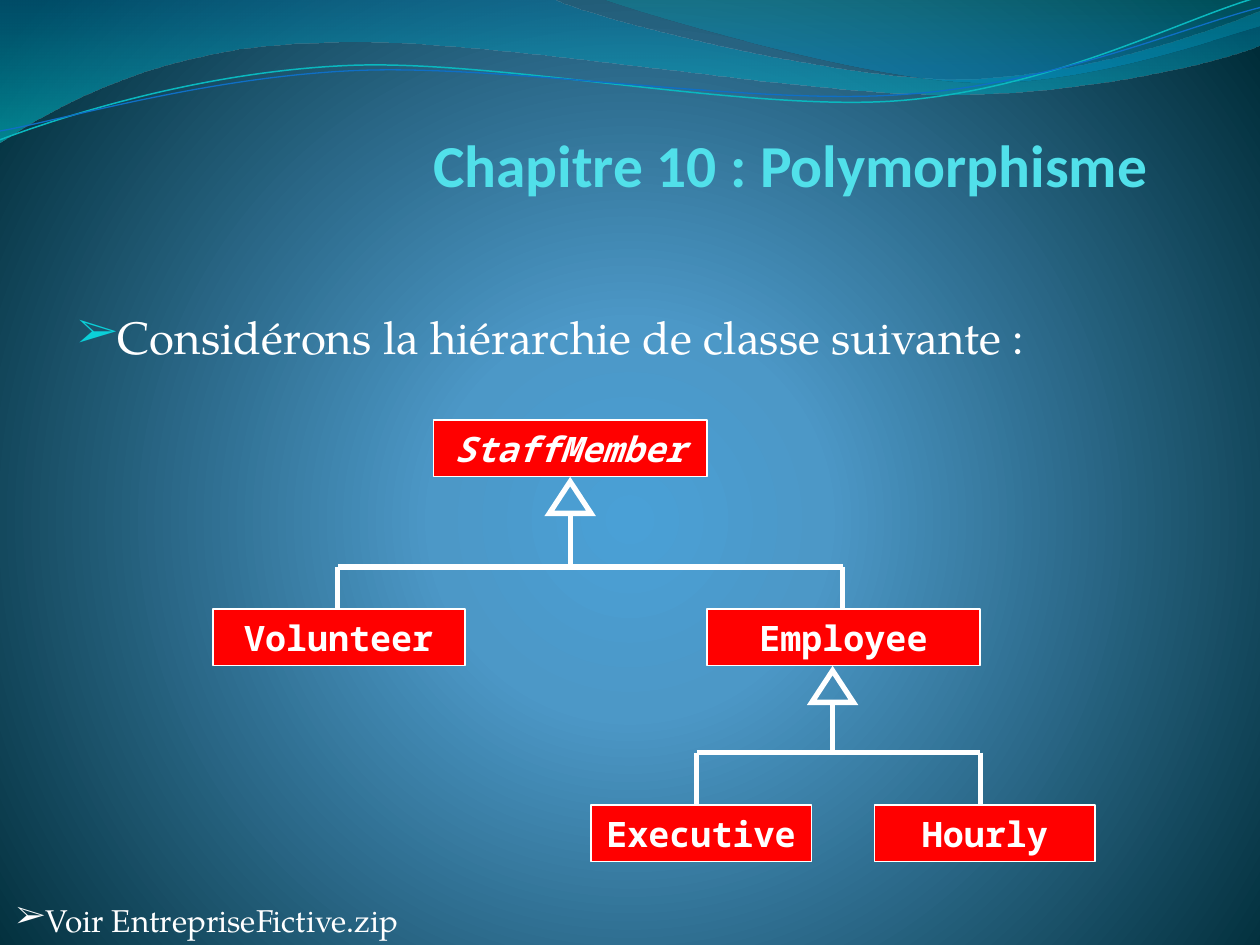
from lxml.etree import SubElement
from pptx import Presentation
from pptx.dml.color import RGBColor
from pptx.enum.shapes import MSO_CONNECTOR, MSO_SHAPE
from pptx.enum.text import MSO_ANCHOR, PP_ALIGN
from pptx.oxml import parse_xml
from pptx.oxml.ns import nsdecls, qn
from pptx.util import Cm, Pt

WHITE = RGBColor(0xFF, 0xFF, 0xFF)
RED = RGBColor(0xFF, 0x00, 0x00)
TITLE_CYAN = RGBColor(0x51, 0xE0, 0xEA)
BULLET_CYAN = RGBColor(0x0B, 0xD0, 0xD9)
WAVE_TEAL = RGBColor(0x0A, 0xB8, 0xBF)
WAVE_BLUE = RGBColor(0x0F, 0x6F, 0xC6)
BACKGROUND_STOPS = [(0, RGBColor(0x4A, 0xA0, 0xD6), 100),
                    (25, RGBColor(0x4C, 0x98, 0xC7), 100),
                    (100, RGBColor(0x00, 0x2C, 0x38), 100)]
WIDE_WAVE_STOPS = [(0, RGBColor(0x00, 0x74, 0xA1), 45),
                   (100, RGBColor(0x00, 0xC6, 0xCF), 55)]
RIGHT_WAVE_STOPS = [(0, RGBColor(0x00, 0xA1, 0xA9), 30),
                    (80, RGBColor(0x00, 0x8B, 0xBF), 45)]
LINEAR_DOWN = '<a:lin ang="5400000" scaled="1"/>'
RADIAL = ('<a:path path="circle"><a:fillToRect l="10000" t="110000" '
          'r="10000" b="100000"/></a:path>')
BODY_FONT, CODE_FONT, TITLE_FONT = "TeX Gyre Pagella", "Noto Sans Mono", "Calibri"
WAVE_UNIT = Cm(2.54)
BOX_HEIGHT = 1.14

# Each wave is a start point followed by cubic curves (6 numbers) and lines (2).
WIDE_WAVE = [(0, 0), (4.4, 0),
             (4.76, 0.17, 6.64, 0.63, 7.58, 0.63), (8.53, 0.63, 9.58, 0.26, 10, 0.09),
             (10, 0.36),
             (9.83, 0.44, 8.7, 0.76, 7.46, 0.75), (6.22, 0.75, 3.82, 0.28, 2.57, 0.34),
             (1.29, 0.36, 0.46, 0.83, 0, 1.13)]
RIGHT_WAVE = [(4.79, 0), (5.09, 0.11, 6.82, 0.62, 7.69, 0.65),
              (8.56, 0.69, 9.61, 0.32, 10, 0.21), (10, 0)]
TEAL_LINE = [(0, 1.11), (0.48, 0.93, 1.58, 0.57, 2.77, 0.52),
             (3.95, 0.47, 5.93, 0.89, 7.13, 0.8), (8.33, 0.71, 9.38, 0.15, 9.98, -0.02)]
BLUE_LINE = [(0, 1.04), (0.47, 0.96, 1.64, 0.61, 2.83, 0.56),
             (4.03, 0.51, 5.97, 0.84, 7.17, 0.75), (8.36, 0.67, 9.41, 0.21, 10, 0.06)]

# Class name: left, top and width in cm within the diagram.
CLASSES = {"StaffMember": (4.45, 0, 5.51), "Executive": (7.62, 7.76, 4.45),
           "Hourly": (13.34, 7.76, 4.45), "Volunteer": (0, 3.81, 5.08),
           "Employee": (9.96, 3.81, 5.51)}


def set_gradient(fill, element, stops, direction):
    """Give a fill the gradient stops (position, colour, opacity) and direction."""
    fill.gradient()
    stop_xml = "".join(
        f'<a:gs pos="{position * 1000}"><a:srgbClr val="{color}">'
        f'<a:alpha val="{opacity * 1000}"/></a:srgbClr></a:gs>'
        for position, color, opacity in stops)
    gradient = parse_xml(f'<a:gradFill {nsdecls("a")} rotWithShape="1">'
                         f'<a:gsLst>{stop_xml}</a:gsLst>{direction}</a:gradFill>')
    current = element.xpath(".//a:gradFill")[0]
    current.getparent().replace(current, gradient)


def add_wave(slide, left, top, segments, closed):
    """Draw one wave outline of lines and cubic curves from the given corner."""
    ends = [(left + segment[-2] * WAVE_UNIT, top + segment[-1] * WAVE_UNIT)
            for segment in segments]
    builder = slide.shapes.build_freeform(*ends[0])
    builder.add_line_segments(ends[1:], close=closed)
    shape = builder.convert_to_shape()
    shape.shadow.inherit = False
    for segment, line_to in zip(segments[1:], shape.element.xpath(".//a:lnTo")):
        if len(segment) == 6:
            curve = parse_xml(f'<a:cubicBezTo {nsdecls("a")}/>')
            for x, y in zip(segment[::2], segment[1::2]):
                SubElement(curve, qn("a:pt"),
                           x=str(round(left + x * WAVE_UNIT - shape.left)),
                           y=str(round(top + y * WAVE_UNIT - shape.top)))
            line_to.getparent().replace(line_to, curve)
    return shape


def add_wave_header(slide, left, top):
    """Draw the two filled waves and the two wave lines."""
    for segments, stops in ((WIDE_WAVE, WIDE_WAVE_STOPS), (RIGHT_WAVE, RIGHT_WAVE_STOPS)):
        wave = add_wave(slide, left, top, segments, True)
        set_gradient(wave.fill, wave.element, stops, LINEAR_DOWN)
        wave.line.fill.background()
    for segments, color, width in ((TEAL_LINE, WAVE_TEAL, 0.85), (BLUE_LINE, WAVE_BLUE, 0.75)):
        wave = add_wave(slide, left, top, segments, False)
        wave.fill.background()
        wave.line.color.rgb = color
        wave.line.width = Pt(width)


def add_run(paragraph, text, font_name, size, color, bold=None, italic=None):
    """Add one formatted run."""
    run = paragraph.add_run()
    run.text = text
    font = run.font
    font.name, font.size, font.bold, font.italic = font_name, Pt(size), bold, italic
    font.color.rgb = color


def set_margins(frame, left, top, right, bottom):
    """Set the four insets of a text frame."""
    frame.margin_left, frame.margin_top = left, top
    frame.margin_right, frame.margin_bottom = right, bottom


def add_title(slide, left, top, width, height):
    """Place the right-aligned chapter title."""
    title = slide.shapes.title
    title.left, title.top, title.width, title.height = left, top, width, height
    frame = title.text_frame
    frame.vertical_anchor = MSO_ANCHOR.TOP
    set_margins(frame, 0, 0, Cm(0.05), 0)
    paragraph = frame.paragraphs[0]
    paragraph.alignment = PP_ALIGN.RIGHT
    add_run(paragraph, "Chapitre 10 : Polymorphisme", TITLE_FONT, 34, TITLE_CYAN, True)


def add_bullet_text(slide, left, top, width, height, text, size, bullet_color, bullet_size):
    """Add a text box with one arrow-bulleted paragraph and return its frame."""
    frame = slide.shapes.add_textbox(left, top, width, height).text_frame
    frame.word_wrap = True
    paragraph = frame.paragraphs[0]
    paragraph.line_spacing = 1.5
    add_run(paragraph, text, BODY_FONT, size, WHITE)
    properties = paragraph._p.get_or_add_pPr()
    color = SubElement(properties, qn("a:buClr"))
    SubElement(color, qn("a:srgbClr"), val=str(bullet_color))
    SubElement(properties, qn("a:buSzPct"), val=str(bullet_size * 1000))
    SubElement(properties, qn("a:buFont"), typeface=BODY_FONT)
    SubElement(properties, qn("a:buChar"), char="➢")
    return frame


def add_class_box(slide, left, top, width, name, italic):
    """Draw a red class box with its name."""
    box = slide.shapes.add_shape(MSO_SHAPE.RECTANGLE, left, top, width, Cm(BOX_HEIGHT))
    box.shadow.inherit = False
    box.fill.solid()
    box.fill.fore_color.rgb = RED
    box.line.color.rgb = WHITE
    box.line.width = Pt(1)
    box.text_frame.vertical_anchor = MSO_ANCHOR.MIDDLE
    paragraph = box.text_frame.paragraphs[0]
    paragraph.alignment = PP_ALIGN.CENTER
    add_run(paragraph, name, CODE_FONT, 20, WHITE, True, italic)


def add_line(slide, *ends):
    """Draw a thick white line between two points."""
    line = slide.shapes.add_connector(MSO_CONNECTOR.STRAIGHT, *ends)
    line.line.color.rgb = WHITE
    line.line.width = Pt(3)
    SubElement(line._element.spPr, qn("a:effectLst"))


def add_inheritance(slide, parent_x, parent_bottom, bar_y, child_xs, child_top):
    """Draw the hollow arrow under a parent and the fork to its children."""
    width, height = Cm(0.84), Cm(0.64)
    top = parent_bottom + Cm(0.1)
    triangle = slide.shapes.add_shape(MSO_SHAPE.ISOSCELES_TRIANGLE,
                                      parent_x - width // 2, top, width, height)
    triangle.shadow.inherit = False
    triangle.fill.background()
    triangle.line.color.rgb = WHITE
    triangle.line.width = Pt(3)
    SubElement(triangle.line._get_or_add_ln(), qn("a:miter"), lim="800000")
    add_line(slide, parent_x, bar_y, parent_x, top + height)
    add_line(slide, child_xs[0], bar_y, child_xs[-1], bar_y)
    for child_x in child_xs:
        add_line(slide, child_x, bar_y, child_x, child_top)


def add_class_diagram(slide, left, top):
    """Draw the class hierarchy from the given corner."""
    def center(name, shift=0):
        box_left, _, width = CLASSES[name]
        return left + Cm(box_left + width / 2 + shift)

    def fork(parent, parent_shift, bar, children, child_shift):
        add_inheritance(slide, center(parent, parent_shift),
                        top + Cm(CLASSES[parent][1] + BOX_HEIGHT), top + Cm(bar),
                        [center(child, child_shift) for child in children],
                        top + Cm(CLASSES[children[0]][1]))

    fork("StaffMember", 0, 2.96, ("Volunteer", "Employee"), -0.02)
    fork("Employee", -0.22, 6.7, ("Executive", "Hourly"), -0.09)
    for name, (x, y, width) in CLASSES.items():
        add_class_box(slide, left + Cm(x), top + Cm(y), Cm(width), name,
                      name == "StaffMember")


def main():
    """Build and save the slide."""
    presentation = Presentation()
    presentation.slide_width, presentation.slide_height = Cm(25.4), Cm(19.05)
    slide = presentation.slides.add_slide(presentation.slide_layouts[5])
    set_gradient(slide.background.fill, slide._element, BACKGROUND_STOPS, RADIAL)
    add_wave_header(slide, 0, 0)
    add_title(slide, Cm(1.36), Cm(2.59), Cm(21.82), Cm(3.18))
    subtitle = add_bullet_text(slide, Cm(1.57), Cm(5.56), Cm(21.82), Cm(2.16),
                               "Considérons la hiérarchie de classe suivante :", 26,
                               BULLET_CYAN, 95)
    set_margins(subtitle, 0, Cm(0.13), Cm(0.05), Cm(0.13))
    add_class_diagram(slide, Cm(4.29), Cm(8.47))
    add_bullet_text(slide, Cm(0.08), Cm(17.65), Cm(10.11), Cm(1.3),
                    "Voir EntrepriseFictive.zip", 18, WHITE, 100)
    presentation.save("out.pptx")


main()
